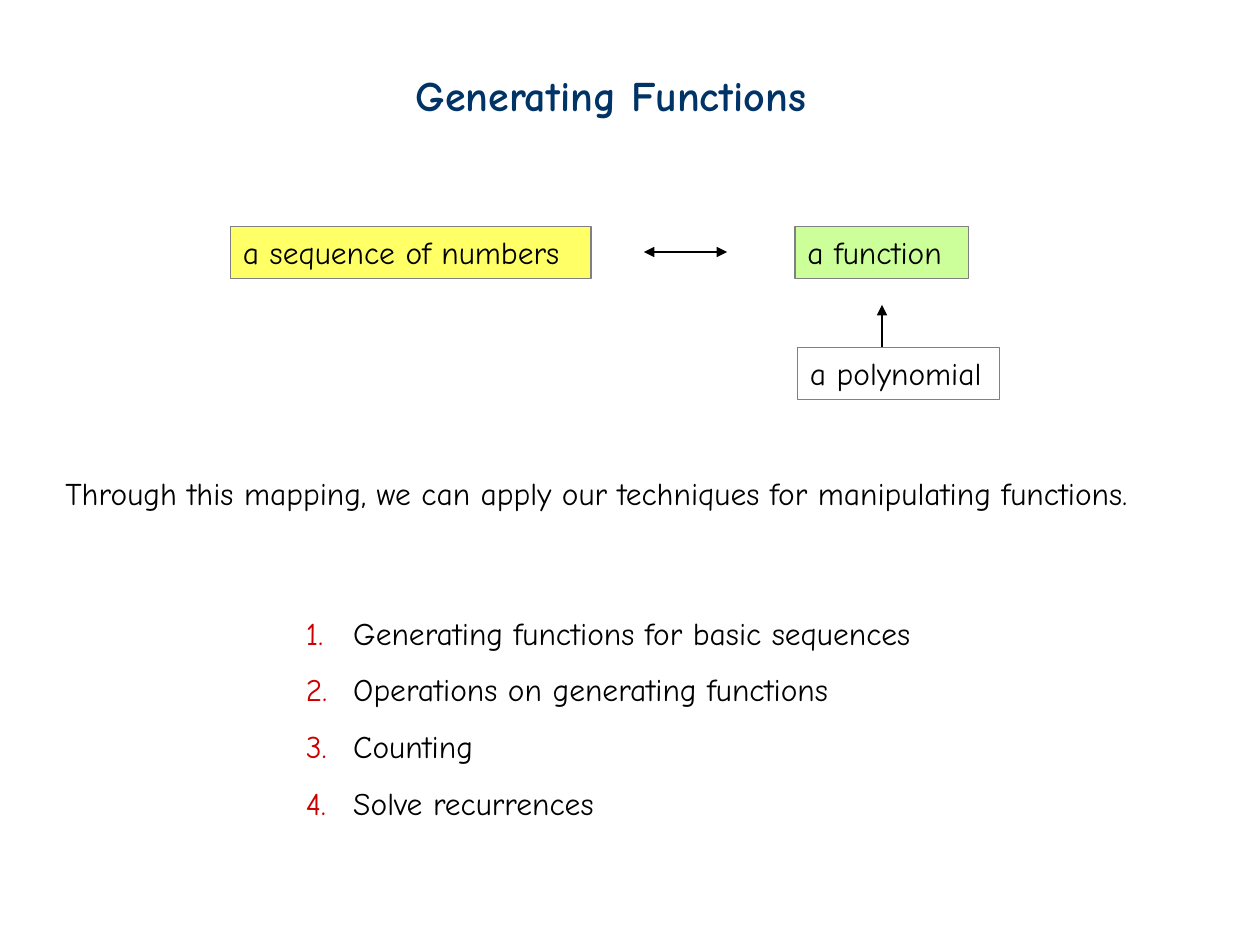
"""Build the slide that introduces generating functions."""
from lxml import etree
from pptx import Presentation
from pptx.dml.color import RGBColor
from pptx.enum import shapes, text
from pptx.oxml import ns
from pptx.util import Pt

FONT = "Comic Neue"
NAVY = RGBColor(0x00, 0x33, 0x66)
BLACK = RGBColor(0x00, 0x00, 0x00)
GRAY = RGBColor(0x80, 0x80, 0x80)
YELLOW = RGBColor(0xFF, 0xFF, 0x66)
GREEN = RGBColor(0xCC, 0xFF, 0x99)
RED = RGBColor(0xCC, 0x00, 0x00)


def write(box, words, size=18, color=BLACK, bold=None):
    frame = box.text_frame
    frame.text = words
    frame.word_wrap = False
    frame.auto_size = text.MSO_AUTO_SIZE.SHAPE_TO_FIT_TEXT
    frame.vertical_anchor = text.MSO_ANCHOR.TOP
    for para in frame.paragraphs:
        para.alignment = text.PP_ALIGN.LEFT
        for span in para.runs:
            span.font.name = FONT
            span.font.size = Pt(size)
            span.font.bold = bold
            span.font.color.rgb = color


def add_child(parent, tag, **attributes):
    return etree.SubElement(parent, ns.qn(tag), attributes)


deck = Presentation()
deck.slide_width, deck.slide_height = Pt(720), Pt(540)
page = deck.slides.add_slide(deck.slide_layouts[6])

title = page.shapes.add_textbox(Pt(230.4), Pt(36), Pt(255.6), Pt(36))
write(title, "Generating Functions", 24, NAVY, True)

for words, left, top, width, fill in [
    ("a sequence of numbers", 131.75, 129.5, 206, YELLOW),
    ("a function", 454.25, 129.5, 99.25, GREEN),
    ("a polynomial", 455.75, 198.75, 115.5, None),
]:
    box = page.shapes.add_shape(
        shapes.MSO_SHAPE.RECTANGLE, Pt(left), Pt(top), Pt(width), Pt(29.5))
    box.shadow.inherit = False
    if fill is None:
        box.fill.background()
    else:
        box.fill.solid()
        box.fill.fore_color.rgb = fill
    box.line.color.rgb = GRAY
    box.line.width = Pt(0.75)
    write(box, words)

for x1, y1, x2, y2, ends in [
    (368, 144, 415.5, 144, ["a:headEnd", "a:tailEnd"]),
    (504, 198, 504, 174.25, ["a:tailEnd"]),
]:
    arrow = page.shapes.add_connector(
        shapes.MSO_CONNECTOR.STRAIGHT, Pt(x1), Pt(y1), Pt(x2), Pt(y2))
    arrow.line.color.rgb = BLACK
    arrow.line.width = Pt(0.75)
    for end in ends:
        add_child(arrow.line._get_or_add_ln(), end, type="triangle")
    add_child(arrow._element.spPr, "a:effectLst")

mapping = page.shapes.add_textbox(Pt(30.25), Pt(267.1), Pt(665.25), Pt(29))
write(mapping, "Through this mapping, we can apply our techniques "
               "for manipulating functions.")

topics = [
    "Generating functions for basic sequences",
    "Operations on generating functions",
    "Counting",
    "Solve recurrences",
]
agenda = page.shapes.add_textbox(Pt(167.75), Pt(336.25), Pt(387.25), Pt(137.5))
write(agenda, "\n".join(topics))
for para in agenda.text_frame.paragraphs:
    para.line_spacing = 1.5
    properties = para._p.get_or_add_pPr()
    properties.set("marL", str(Pt(27)))
    properties.set("indent", str(-Pt(27)))
    bullet_color = add_child(properties, "a:buClr")
    add_child(bullet_color, "a:srgbClr", val=str(RED))
    add_child(properties, "a:buFontTx")
    add_child(properties, "a:buAutoNum", type="arabicPeriod")

deck.save("out.pptx")
